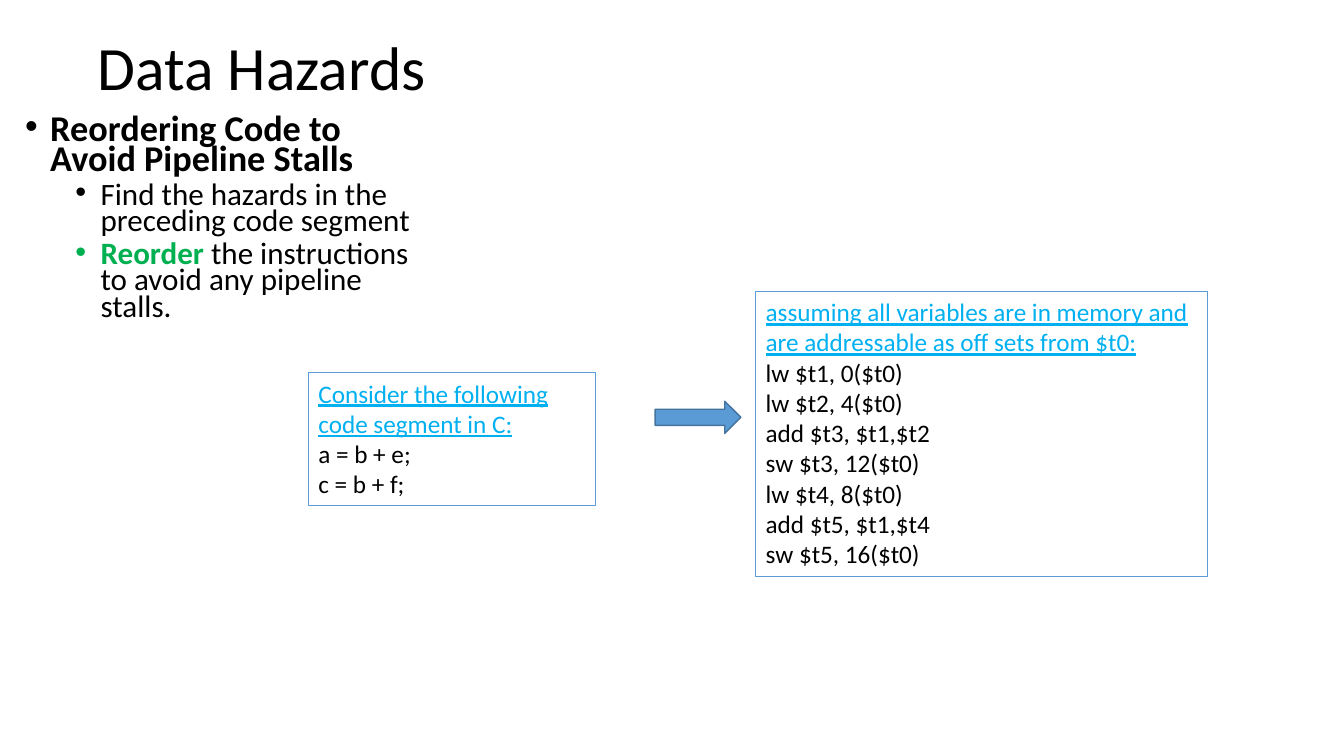
from dataclasses import dataclass

from lxml import etree
from pptx import Presentation
from pptx import util as u
from pptx.dml.color import RGBColor
from pptx.enum import shapes, text
from pptx.oxml.ns import qn


@dataclass(frozen=True)
class Theme:
    font: str = "Calibri"
    ink: str = "000000"
    green: str = "00B050"
    cyan: str = "00B0F0"
    blue: str = "5B9BD5"
    arrow_edge: str = "43739E"
    title: float = 44
    topic: float = 25.9
    detail: float = 22.2
    code: float = 18


THEME = Theme()


def add_span(para, words, size, color=THEME.ink, bold=False, underline=False):
    span = para.add_run()
    span.text = words
    font = span.font
    font.name, font.size = THEME.font, u.Pt(size)
    font.bold, font.underline = bold, underline
    font.color.rgb = RGBColor.from_string(color)


def next_para(frame):
    first = frame.paragraphs[0]
    para = first if not first.runs else frame.add_paragraph()
    para.alignment = text.PP_ALIGN.LEFT
    return para


def add_text_box(page, bounds, anchor=text.MSO_ANCHOR.TOP):
    frame = page.shapes.add_textbox(*map(u.Pt, bounds)).text_frame
    frame.word_wrap = True
    frame.vertical_anchor = anchor
    return frame


def add_bullet(frame, level, before):
    para = next_para(frame)
    para.level = level
    para.line_spacing = 0.7
    para.space_before = u.Pt(before)
    properties = para._p.get_or_add_pPr()
    properties.set("marL", str(u.Pt(18 + 36 * level)))
    properties.set("indent", str(u.Pt(-18)))
    etree.SubElement(properties, qn("a:buFont")).set("typeface", "Arial")
    etree.SubElement(properties, qn("a:buChar")).set("char", "•")
    return para


def add_preset(page, kind, bounds, edge, weight, fill=None):
    shape = page.shapes.add_shape(kind, *map(u.Pt, bounds))
    shape.shadow.inherit = False
    if fill:
        shape.fill.solid()
        shape.fill.fore_color.rgb = RGBColor.from_string(fill)
    else:
        shape.fill.background()
    shape.line.color.rgb = RGBColor.from_string(edge)
    shape.line.width = u.Pt(weight)
    return shape


def add_code_box(page, bounds, heading, lines):
    box = add_preset(page, shapes.MSO_SHAPE.RECTANGLE, bounds, THEME.blue, 0.75)
    frame = box.text_frame
    frame.word_wrap = True
    frame.auto_size = text.MSO_AUTO_SIZE.SHAPE_TO_FIT_TEXT
    frame.vertical_anchor = text.MSO_ANCHOR.TOP
    add_span(next_para(frame), heading, THEME.code, THEME.cyan, underline=True)
    for line in lines:
        add_span(next_para(frame), line, THEME.code)


def main():
    deck = Presentation()
    deck.slide_width, deck.slide_height = u.Pt(960), u.Pt(540)
    page = deck.slides.add_slide(deck.slide_layouts[6])

    title = next_para(add_text_box(page, (62.6, 20.2, 273.6, 59.8), text.MSO_ANCHOR.MIDDLE))
    title.line_spacing = 0.9
    add_span(title, "Data Hazards", THEME.title)

    body = add_text_box(page, (10.8, 79.9, 298, 154.8))
    add_span(add_bullet(body, 0, 10), "Reordering Code to Avoid Pipeline Stalls",
             THEME.topic, bold=True)
    add_span(add_bullet(body, 1, 5), "Find the hazards in the preceding code segment ",
             THEME.detail)
    reorder = add_bullet(body, 1, 5)
    add_span(reorder, "Reorder", THEME.detail, THEME.green, bold=True)
    add_span(reorder, " the instructions to avoid any pipeline stalls.", THEME.detail)

    add_code_box(page, (220.3, 266.4, 205.2, 94.5),
                 "Consider the following code segment in C:",
                 ("a = b + e;", "c = b + f;"))
    add_code_box(page, (539.8, 208.2, 322.9, 203.6),
                 "assuming all variables are in memory and are addressable as off sets from $t0:",
                 ("lw $t1, 0($t0)", "lw $t2, 4($t0)", "add $t3, $t1,$t2",
                  "sw $t3, 12($t0)", "lw $t4, 8($t0)", "add $t5, $t1,$t4",
                  "sw $t5, 16($t0)"))
    add_preset(page, shapes.MSO_SHAPE.RIGHT_ARROW, (468, 286.6, 61.2, 23),
               THEME.arrow_edge, 1, THEME.blue)

    deck.save("out.pptx")


main()
